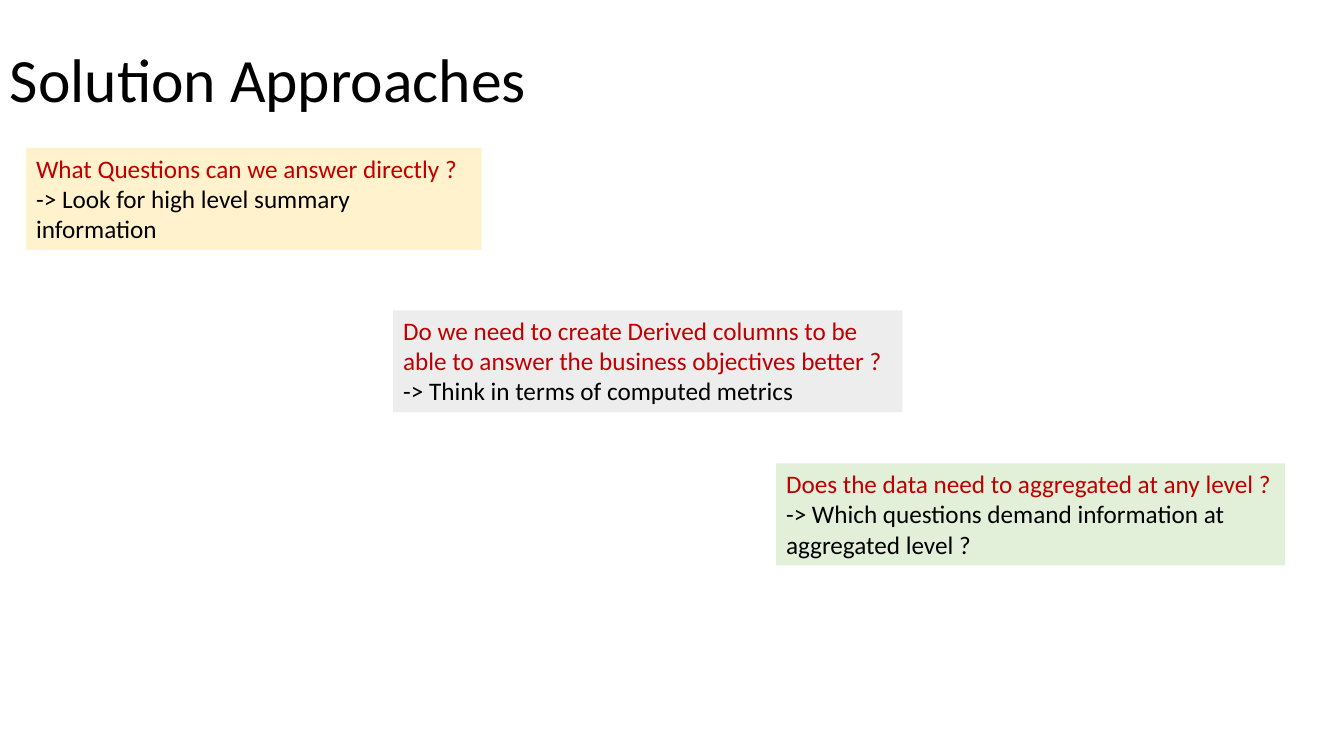
from dataclasses import dataclass

from pptx import Presentation
from pptx.dml.color import RGBColor
from pptx.enum.text import MSO_ANCHOR, MSO_AUTO_SIZE
from pptx.util import Cm, Pt


@dataclass(frozen=True)
class Theme:
    font: str = "Calibri"
    title_size: int = 44
    body_size: int = 18
    ink: str = "000000"
    question: str = "C00000"
    cream: str = "FFF2CC"
    grey: str = "EDEDED"
    green: str = "E2F0D9"


class SlideBuilder:
    def __init__(self, page, theme):
        self.page = page
        self.theme = theme

    def text_box(self, bounds, lines, size, frame_format, paragraph_format):
        box = self.page.shapes.add_textbox(*(Cm(length) for length in bounds))
        frame = box.text_frame
        for name, value in {"word_wrap": True, **frame_format}.items():
            setattr(frame, name, value)
        for index, (text, color) in enumerate(lines):
            para = frame.add_paragraph() if index else frame.paragraphs[0]
            for name, value in paragraph_format.items():
                setattr(para, name, value)
            span = para.add_run()
            span.text = text
            for name, value in {"name": self.theme.font, "size": Pt(size)}.items():
                setattr(span.font, name, value)
            span.font.color.rgb = RGBColor.from_string(color)
        return box

    def title(self, bounds, text):
        self.text_box(
            bounds,
            [(text, self.theme.ink)],
            self.theme.title_size,
            {"auto_size": MSO_AUTO_SIZE.NONE, "vertical_anchor": MSO_ANCHOR.MIDDLE},
            {"line_spacing": 0.9},
        )

    def approach(self, bounds, fill, question, hint):
        box = self.text_box(
            bounds,
            [(question, self.theme.question), (hint, self.theme.ink)],
            self.theme.body_size,
            {"auto_size": MSO_AUTO_SIZE.SHAPE_TO_FIT_TEXT},
            {},
        )
        box.fill.solid()
        box.fill.fore_color.rgb = RGBColor.from_string(fill)


def main():
    deck = Presentation()
    deck.slide_width = Cm(33.87)
    deck.slide_height = Cm(19.05)
    theme = Theme()
    builder = SlideBuilder(deck.slides.add_slide(deck.slide_layouts[6]), theme)

    builder.title((0, 0.23, 34.47, 3.68), "Solution Approaches")

    approach_height = 2.57
    approaches = [
        (0.66, 3.73, 11.48, theme.cream,
         "What Questions can we answer directly ?",
         "-> Look for high level summary information"),
        (9.91, 7.82, 12.83, theme.grey,
         "Do we need to create Derived columns to be able to answer the business objectives better ?",
         "-> Think in terms of computed metrics"),
        (19.56, 11.68, 12.83, theme.green,
         "Does the data need to aggregated at any level ?",
         "-> Which questions demand information at aggregated level ?"),
    ]
    for left, top, width, fill, question, hint in approaches:
        builder.approach((left, top, width, approach_height), fill, question, hint)

    deck.save("out.pptx")


if __name__ == "__main__":
    main()
